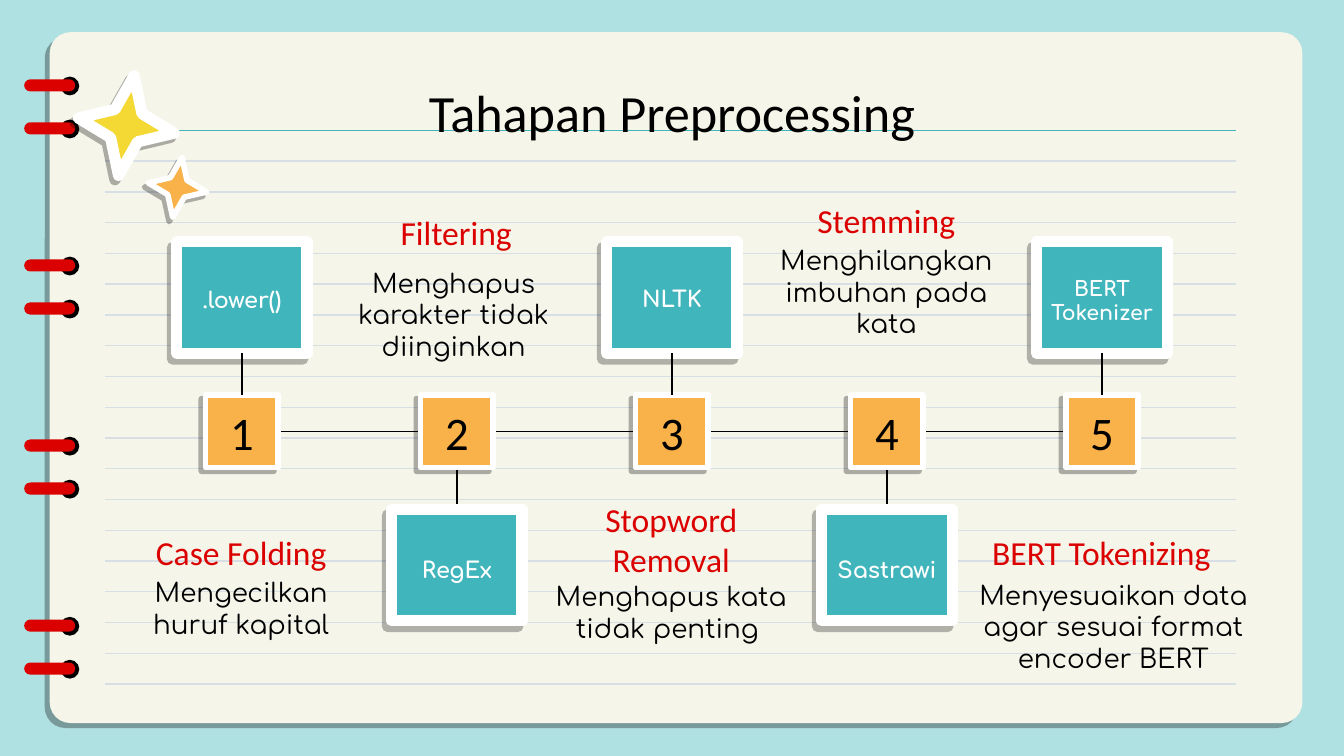
import pptx
import pptx.util
import pptx.dml.color
import pptx.enum.shapes
import pptx.enum.text
import pptx.oxml.ns
from lxml import etree

Inches = pptx.util.Inches
Pt = pptx.util.Pt
SHAPE = pptx.enum.shapes.MSO_SHAPE
ANCHOR = pptx.enum.text.MSO_ANCHOR
qn = pptx.oxml.ns.qn

THEME = {
    "sky": "AFE0E2", "paper": "F6F5EA", "teal": "40B5BB", "rule": "D7DFE5",
    "red": "DA0100", "orange": "F9B149", "yellow": "F4D833",
    "black": "000000", "white": "FFFFFF",
    "head_font": "Calibri", "body_font": "Comfortaa",
    "title": 28, "number": 25, "heading": 18, "body": 14, "tool": 12, "small_tool": 11,
}

TITLE = "Tahapan Preprocessing"
STEPS = [
    {"tool": ".lower()", "tool_y": 2.03, "tool_size": "tool",
     "heading": "Case Folding", "heading_y": 3.96,
     "body": "Mengecilkan huruf kapital", "body_box": (0.81, 4.19, 1.97)},
    {"tool": "RegEx", "tool_y": 4.04, "tool_size": "tool",
     "heading": "Filtering", "heading_y": 1.58,
     "body": "Menghapus karakter tidak diinginkan", "body_box": (2.47, 1.89, 1.81)},
    {"tool": "NLTK", "tool_y": 2.02, "tool_size": "tool",
     "heading": "Stopword Removal", "heading_y": 4.01,
     "body": "Menghapus kata tidak penting ", "body_box": (4.01, 4.22, 1.97)},
    {"tool": "Sastrawi", "tool_y": 4.04, "tool_size": "tool",
     "heading": "Stemming", "heading_y": 1.49,
     "body": "Menghilangkan imbuhan pada kata", "body_box": (5.61, 1.72, 1.97)},
    {"tool": "BERT\nTokenizer", "tool_y": 1.95, "tool_size": "small_tool",
     "heading": "BERT Tokenizing", "heading_y": 3.96,
     "body": "Menyesuaikan data agar sesuai format encoder BERT",
     "body_box": (7.08, 4.21, 2.41)},
]
STARS = [(0.58, 0.56, 0.72, 0.75, "yellow", 6), (1.1, 1.17, 0.44, 0.45, "orange", 3)]

FIRST_X, STEP_GAP = 1.8, 1.6
NUMBER_Y, NUMBER_SIZE = 2.94, 0.54
BOX_W, BOX_H, UPPER_Y, LOWER_Y = 0.97, 0.83, 1.8, 3.79
RULE_TOP, RULE_BOTTOM, RULE_COUNT = 0.97, 5.09, 19
RING_TOP, RING_GAP, PAIR_GAP = 0.64, 1.34, 0.32

prs = pptx.Presentation()
prs.slide_width = Inches(10)
prs.slide_height = prs.slide_width * 9 // 16
s = prs.slides.add_slide(prs.slide_layouts[6])


def color(name):
    return pptx.dml.color.RGBColor.from_string(THEME[name])


def add_shape(kind, x, y, w, h, fill, border=0, shadow=None, adj=None):
    sp = s.shapes.add_shape(kind, Inches(x), Inches(y), Inches(w), Inches(h))
    sp.shadow.inherit = False
    sp.fill.solid()
    sp.fill.fore_color.rgb = color(fill)
    if adj is not None:
        sp.adjustments[0] = adj
    if border:
        sp.line.color.rgb = color("white")
        sp.line.width = Pt(border)
        etree.SubElement(sp.line._get_or_add_ln(), qn("a:round"))
    else:
        sp.line.fill.background()
    if shadow:
        alpha, dist, angle = shadow
        effects = sp._element.spPr.find(qn("a:effectLst"))
        outer = etree.SubElement(effects, qn("a:outerShdw"), blurRad="0",
                                 dist=str(int(Pt(dist))), dir=str(angle * 60000),
                                 algn="bl", rotWithShape="0")
        tint = etree.SubElement(outer, qn("a:srgbClr"), val=THEME["black"])
        etree.SubElement(tint, qn("a:alpha"), val=str(alpha * 1000))
    return sp


def add_line(x1, y1, x2, y2, name):
    c = s.shapes.add_connector(pptx.enum.shapes.MSO_CONNECTOR.STRAIGHT,
                               Inches(x1), Inches(y1), Inches(x2), Inches(y2))
    c.line.color.rgb = color(name)
    c.line.width = Pt(0.75)
    etree.SubElement(c._element.spPr, qn("a:effectLst"))


def set_text(sp, text, font, size, name, anchor=ANCHOR.TOP, bold=False):
    tf = sp.text_frame
    tf.word_wrap = True
    tf.vertical_anchor = anchor
    tf.margin_left = tf.margin_right = tf.margin_top = tf.margin_bottom = Inches(0.1)
    tf.text = text
    for p in tf.paragraphs:
        p.alignment = pptx.enum.text.PP_ALIGN.CENTER
        for r in p.runs:
            r.font.name = THEME[font]
            r.font.size = Pt(THEME[size])
            r.font.bold = bold
            r.font.color.rgb = color(name)


def add_text(x, y, w, h, *style, **options):
    box = s.shapes.add_textbox(Inches(x), Inches(y), Inches(w), Inches(h))
    set_text(box, *style, **options)


s.background.fill.solid()
s.background.fill.fore_color.rgb = color("sky")

add_shape(SHAPE.ROUNDED_RECTANGLE, 0.37, 0.24, 9.32, 5.14, "paper",
          shadow=(31, 3.8, 135), adj=0.03)
for i in range(RULE_COUNT):
    y = RULE_TOP + i * (RULE_BOTTOM - RULE_TOP) / (RULE_COUNT - 1)
    add_line(0.78, y, 9.2, y, "rule" if i else "teal")
for i in range(8):
    y = RING_TOP + i // 2 * RING_GAP + i % 2 * PAIR_GAP
    add_shape(SHAPE.OVAL, 0.45, y - 0.07, 0.14, 0.14, "black")
    add_shape(SHAPE.ROUNDED_RECTANGLE, 0.18, y - 0.05, 0.38, 0.09, "red", adj=0.5)

add_text(0.78, 0.5, 8.44, 0.63, TITLE, "head_font", "title", "black")

half = NUMBER_SIZE / 2
for i, step in enumerate(STEPS):
    x = FIRST_X + i * STEP_GAP
    upper = i % 2 == 0
    if i < len(STEPS) - 1:
        add_line(x + half, NUMBER_Y + half, x + STEP_GAP - half, NUMBER_Y + half, "black")
    if not upper:
        add_line(x, NUMBER_Y + NUMBER_SIZE, x, LOWER_Y, "black")
    add_shape(SHAPE.RECTANGLE, x - BOX_W / 2, UPPER_Y if upper else LOWER_Y,
              BOX_W, BOX_H, "teal", border=6, shadow=(28, 3.8, 127))
    number = add_shape(SHAPE.RECTANGLE, x - half, NUMBER_Y, NUMBER_SIZE, NUMBER_SIZE,
                       "orange", border=3, shadow=(30, 3, 140))
    set_text(number, str(i + 1), "head_font", "number", "black", ANCHOR.MIDDLE)
    if upper:
        add_line(x, UPPER_Y + BOX_H, x, NUMBER_Y, "black")
    add_text(x - 0.61, step["tool_y"], 1.22, 0.31, step["tool"], "body_font",
             step["tool_size"], "white", bold=True)
    add_text(x - 0.99, step["heading_y"], 1.97, 0.4, step["heading"], "head_font",
             "heading", "red", ANCHOR.BOTTOM)
    add_text(*step["body_box"], 0.9, step["body"], "body_font", "body", "black")

for x, y, w, h, fill, border in STARS:
    star = add_shape(SHAPE.STAR_4_POINT, x, y, w, h, fill, border, (30, 3, 130), 0.2)
    star.rotation = 8.9

prs.save("out.pptx")
